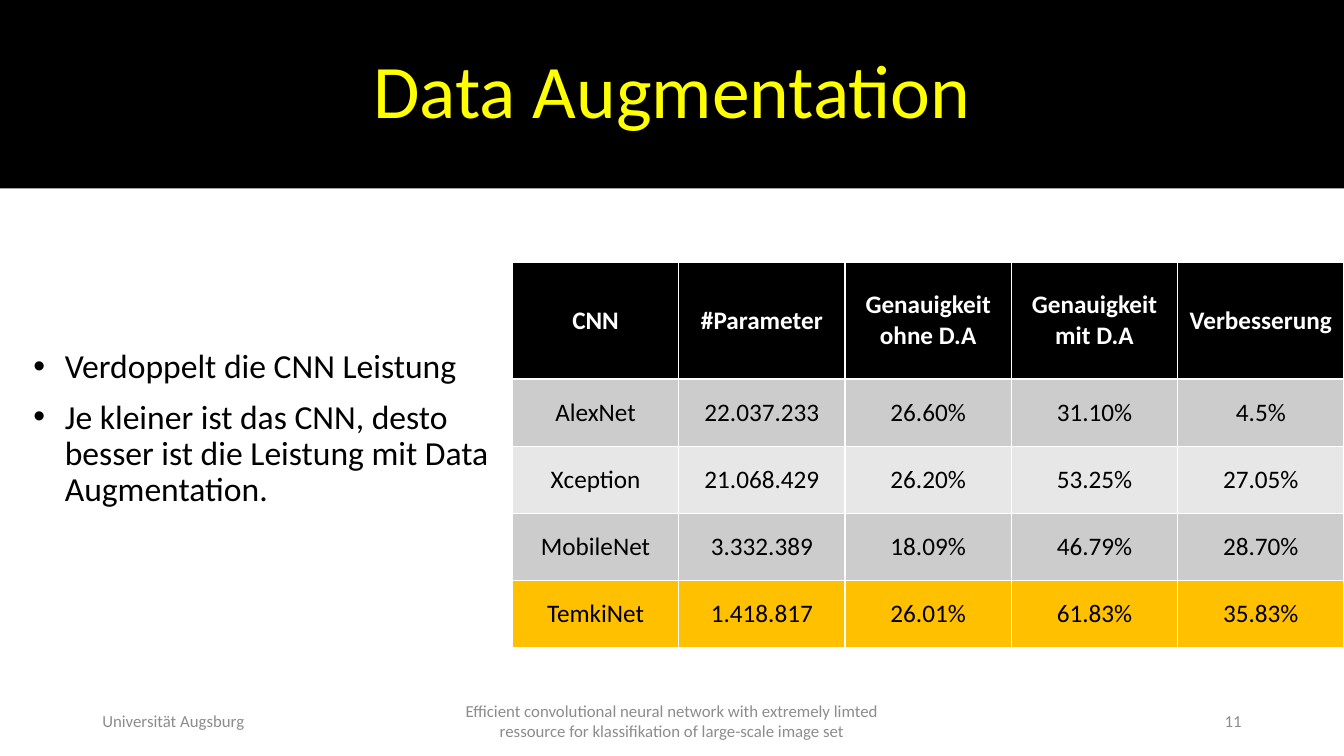
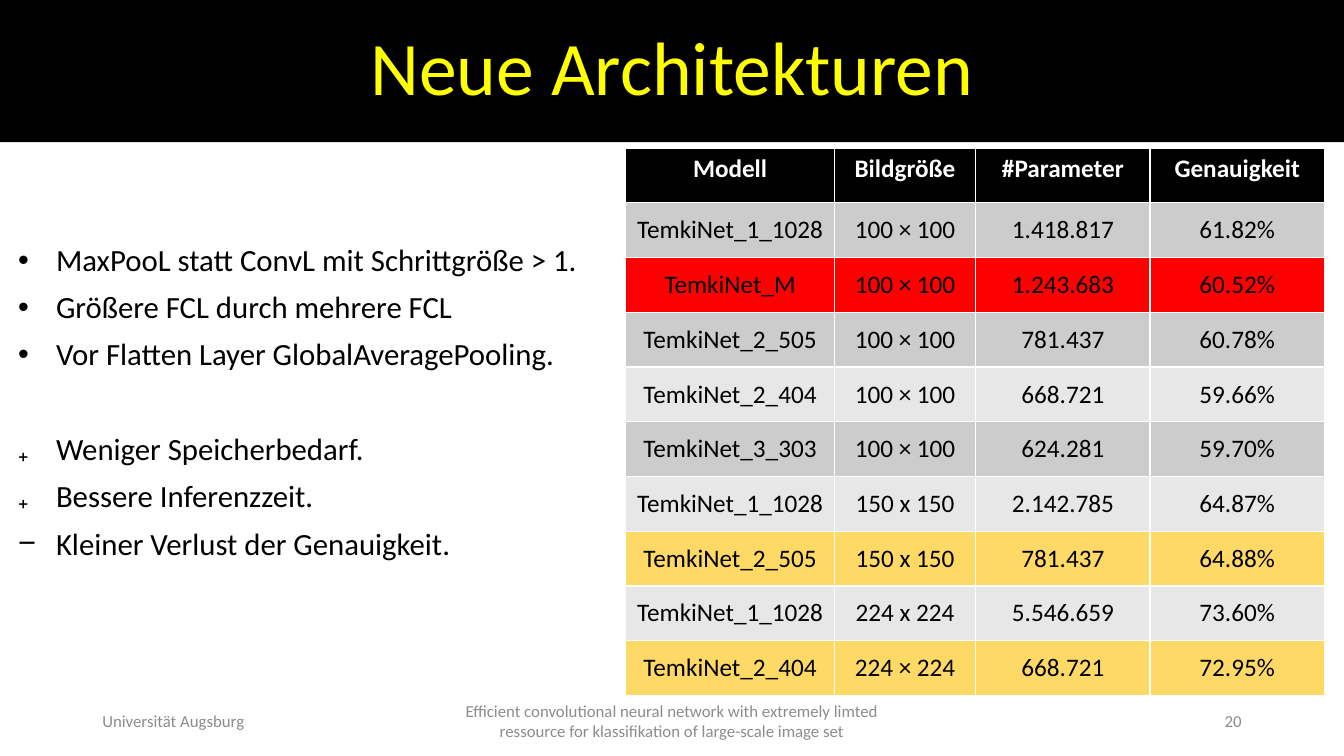
import pptx
import pptx.dml.color
import pptx.enum.text
import pptx.oxml.ns
import pptx.util
from lxml import etree

Pt = pptx.util.Pt
ALIGN = pptx.enum.text.PP_ALIGN
ANCHOR = pptx.enum.text.MSO_ANCHOR

FONT = "Calibri"
BLACK, WHITE, YELLOW, FOOTER_GREY = "000000", "FFFFFF", "FFFF00", "8C8C8C"
BANDS = ("CCCCCC", "E7E7E7")
SLIDE_WIDTH, SLIDE_HEIGHT = 960, 540

UNIVERSITY = "Universität Augsburg"
TOPIC = (
    "Efficient convolutional neural network with extremely limted "
    "ressource for klassifikation of large-scale image set"
)

# Boxes are (left, top, width, height). Bullets are (mark, text, space before).
# Highlights map a table row number to its fill.
SLIDES = [
    {
        "title": "Data Augmentation",
        "title_height": 134.6,
        "number": 11,
        "body_box": (16.6, 187.2, 340, 239),
        "body_size": 24,
        "indent": 22.5,
        "bullets": [
            ("•", "Verdoppelt die CNN Leistung", 10),
            ("•", "Je kleiner ist das CNN, desto besser ist die Leistung "
                  "mit Data Augmentation.", 10),
        ],
        "table_at": (366, 187.2),
        "columns": [118.8] * 5,
        "header_height": 83.5,
        "row_height": 48,
        "header_anchor": ANCHOR.MIDDLE,
        "highlights": {4: "FFC000"},
        "rows": [
            ("CNN", "#Parameter", "Genauigkeit ohne D.A", "Genauigkeit mit D.A",
             "Verbesserung"),
            ("AlexNet", "22.037.233", "26.60%", "31.10%", "4.5%"),
            ("Xception", "21.068.429", "26.20%", "53.25%", "27.05%"),
            ("MobileNet", "3.332.389", "18.09%", "46.79%", "28.70%"),
            ("TemkiNet", "1.418.817", "26.01%", "61.83%", "35.83%"),
        ],
    },
    {
        "title": "Neue Architekturen",
        "title_height": 101.5,
        "number": 20,
        "body_box": (5.8, 136, 440, 304),
        "body_size": 22,
        "indent": 27,
        "bullets": [
            ("•", "MaxPooL statt ConvL mit Schrittgröße > 1.", 10),
            ("•", "Größere FCL durch mehrere FCL", 10),
            ("•", "Vor Flatten Layer GlobalAveragePooling.", 10),
            ("₊", "Weniger Speicherbedarf.", 44),
            ("₊", "Bessere Inferenzzeit.", 10),
            ("−", "Kleiner Verlust der Genauigkeit.", 10),
        ],
        "table_at": (447, 105.8),
        "columns": [149, 101, 124.5, 124.5],
        "header_height": 39.1,
        "row_height": 39.1,
        "header_anchor": ANCHOR.TOP,
        "highlights": {2: "FF0000", 7: "FFD966", 9: "FFD966"},
        "rows": [
            ("Modell", "Bildgröße", "#Parameter", "Genauigkeit"),
            ("TemkiNet_1_1028", "100 × 100", "1.418.817", "61.82%"),
            ("TemkiNet_M", "100 × 100", "1.243.683", "60.52%"),
            ("TemkiNet_2_505", "100 × 100", "781.437", "60.78%"),
            ("TemkiNet_2_404", "100 × 100", "668.721", "59.66%"),
            ("TemkiNet_3_303", "100 × 100", "624.281", "59.70%"),
            ("TemkiNet_1_1028", "150 x 150", "2.142.785", "64.87%"),
            ("TemkiNet_2_505", "150 x 150", "781.437", "64.88%"),
            ("TemkiNet_1_1028", "224 x 224", "5.546.659", "73.60%"),
            ("TemkiNet_2_404", "224 × 224", "668.721", "72.95%"),
        ],
    },
]


def rgb(color):
    return pptx.dml.color.RGBColor.from_string(color)


def paint(shape, color):
    shape.fill.solid()
    shape.fill.fore_color.rgb = rgb(color)


def style(para, size, color, align=ALIGN.LEFT, bold=False):
    para.alignment = align
    para.font.name = FONT
    para.font.size = Pt(size)
    para.font.bold = bold
    para.font.color.rgb = rgb(color)


def place(shape, box):
    shape.left, shape.top, shape.width, shape.height = map(Pt, box)


def prepare_frame(shape):
    """Wrap the text, centre it vertically and keep its size fixed."""
    frame = shape.text_frame
    frame.word_wrap = True
    frame.auto_size = pptx.enum.text.MSO_AUTO_SIZE.NONE
    frame.vertical_anchor = ANCHOR.MIDDLE
    return frame


def set_bullet(para, mark, indent):
    properties = para._p.get_or_add_pPr()
    properties.set("marL", str(Pt(indent)))
    properties.set("indent", str(-Pt(indent)))
    bullet = etree.SubElement(properties, pptx.oxml.ns.qn("a:buChar"))
    bullet.set("char", mark)


def fill_title(page, text, height):
    title = page.shapes.title
    place(title, (0, 0, SLIDE_WIDTH, height))
    paint(title, BLACK)
    frame = prepare_frame(title)
    frame.text = text
    para = frame.paragraphs[0]
    para.line_spacing = 0.9
    style(para, 54, YELLOW, ALIGN.CENTER)


def fill_body(page, content):
    body = page.placeholders[1]
    place(body, content["body_box"])
    frame = prepare_frame(body)
    frame.text = "\n".join(text for _, text, _ in content["bullets"])
    for para, (mark, _, space) in zip(frame.paragraphs, content["bullets"]):
        set_bullet(para, mark, content["indent"])
        para.line_spacing = 0.9
        para.space_before = Pt(space)
        style(para, content["body_size"], BLACK)


def add_results(page, content):
    rows, columns = content["rows"], content["columns"]
    heights = [content["header_height"]] + [content["row_height"]] * (len(rows) - 1)
    left, top = content["table_at"]
    box = map(Pt, (left, top, sum(columns), sum(heights)))
    table = page.shapes.add_table(len(rows), len(columns), *box).table
    for column, width in zip(table.columns, columns):
        column.width = Pt(width)
    for index, (values, height) in enumerate(zip(rows, heights)):
        table.rows[index].height = Pt(height)
        header = index == 0
        band = BLACK if header else BANDS[(index - 1) % 2]
        for cell, value in zip(table.rows[index].cells, values):
            paint(cell, content["highlights"].get(index, band))
            cell.vertical_anchor = content["header_anchor"] if header else ANCHOR.MIDDLE
            cell.text = value
            style(cell.text_frame.paragraphs[0], 18, WHITE if header else BLACK,
                  ALIGN.CENTER, header)


def add_footers(page, number):
    for text, left, width, align in (
        (UNIVERSITY, 66, 216, ALIGN.LEFT),
        (TOPIC, 318, 324, ALIGN.CENTER),
        (str(number), 678, 216, ALIGN.RIGHT),
    ):
        box = page.shapes.add_textbox(*map(Pt, (left, 500.5, width, 28.75)))
        frame = prepare_frame(box)
        frame.text = text
        style(frame.paragraphs[0], 12, FOOTER_GREY, align)


def main():
    deck = pptx.Presentation()
    deck.slide_width, deck.slide_height = Pt(SLIDE_WIDTH), Pt(SLIDE_HEIGHT)
    for content in SLIDES:
        page = deck.slides.add_slide(deck.slide_layouts[1])
        fill_title(page, content["title"], content["title_height"])
        fill_body(page, content)
        add_results(page, content)
        add_footers(page, content["number"])
    deck.save("out.pptx")


if __name__ == "__main__":
    main()
